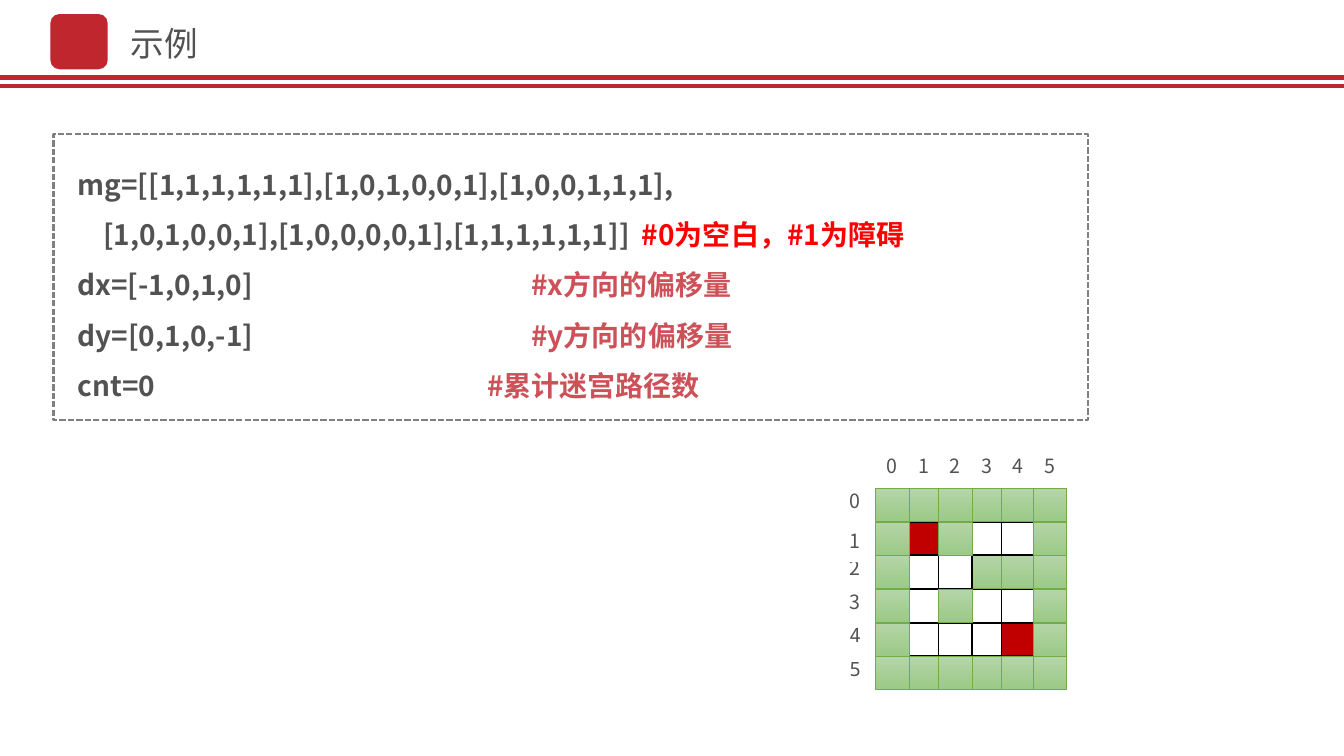
from lxml import etree
from pptx import Presentation
from pptx.dml.color import RGBColor
from pptx.enum.dml import MSO_LINE
from pptx.enum.shapes import MSO_CONNECTOR, MSO_SHAPE as SHAPE
from pptx.enum.text import MSO_ANCHOR as ANCHOR, PP_ALIGN as ALIGN
from pptx.oxml.ns import qn
from pptx.util import Pt

RED = RGBColor(0xC0, 0x26, 0x2E)
GRAY = RGBColor(0x52, 0x52, 0x52)
EDGE = RGBColor(0x80, 0x80, 0x80)
ALERT = RGBColor(0xFF, 0x00, 0x00)
NOTE = RGBColor(0xCD, 0x51, 0x58)
GOAL = RGBColor(0xC0, 0x00, 0x00)
WHITE = RGBColor(0xFF, 0xFF, 0xFF)
BLACK = RGBColor(0x00, 0x00, 0x00)
GREEN = RGBColor(0x70, 0xAD, 0x47)
LIGHT = RGBColor(0xB5, 0xD5, 0xA7)
DEEP = RGBColor(0x9C, 0xC9, 0x87)
SANS, MONO = "Noto Sans CJK SC", "Noto Sans Mono"

prs = Presentation()
prs.slide_width, prs.slide_height = Pt(960), Pt(540)
slide = prs.slides.add_slide(prs.slide_layouts[6])
shapes = slide.shapes


def add_rect(x, y, w, h, fill=None, line=None, width=1, kind=SHAPE.RECTANGLE):
    rect = shapes.add_shape(kind, Pt(x), Pt(y), Pt(w), Pt(h))
    rect.shadow.inherit = False
    if fill is None:
        rect.fill.background()
    else:
        rect.fill.solid()
        rect.fill.fore_color.rgb = fill
    if line is None:
        rect.line.fill.background()
    else:
        rect.line.color.rgb = line
        rect.line.width = Pt(width)
    return rect


def put_text(para, text, size=14, color=GRAY, font=SANS, bold=False):
    run = para.add_run()
    run.text = text
    run.font.size, run.font.bold, run.font.name = Pt(size), bold, font
    run.font.color.rgb = color
    east = etree.SubElement(run.font._element, qn("a:ea"))
    east.set("typeface", font)


# Header: double rule, emblem and title
for y in (55.4, 61.2):
    rule = shapes.add_connector(MSO_CONNECTOR.STRAIGHT, Pt(0), Pt(y), Pt(960), Pt(y))
    rule.line.color.rgb = RED
    rule.line.width = Pt(3)
    etree.SubElement(rule._element.spPr, qn("a:effectLst"))

add_rect(36, 10, 41, 39.5, fill=RED, kind=SHAPE.ROUNDED_RECTANGLE)

title = shapes.add_textbox(Pt(86.4), Pt(13), Pt(62.6), Pt(36)).text_frame
title.word_wrap = False
title.vertical_anchor = ANCHOR.MIDDLE
put_text(title.paragraphs[0], "示例", size=24)

# Code box: each line has code, comment, comment colour and tab stop
LINES = [
    ("mg=[[1,1,1,1,1,1],[1,0,1,0,0,1],[1,0,0,1,1,1],", "", GRAY, 0),
    ("    [1,0,1,0,0,1],[1,0,0,0,0,1],[1,1,1,1,1,1]]", "#0为空白，#1为障碍", ALERT, 403),
    ("dx=[-1,0,1,0]", "#x方向的偏移量", NOTE, 324),
    ("dy=[0,1,0,-1]", "#y方向的偏移量", NOTE, 324),
    ("cnt=0", "#累计迷宫路径数", NOTE, 292.5),
]
box = add_rect(38.2, 95.8, 738.7, 204.5, line=EDGE, width=1.5)
box.line.dash_style = MSO_LINE.SQUARE_DOT
frame = box.text_frame
frame.word_wrap = True
frame.vertical_anchor = ANCHOR.TOP
frame.margin_left, frame.margin_right = Pt(17.3), Pt(7.2)
frame.margin_top = frame.margin_bottom = Pt(11.5)
for i, (code, note, color, stop) in enumerate(LINES):
    para = frame.add_paragraph() if i else frame.paragraphs[0]
    para.alignment = ALIGN.LEFT
    para.line_spacing = 1.5
    put_text(para, code, size=20, bold=True)
    if note:
        tabs = etree.SubElement(para._p.get_or_add_pPr(), qn("a:tabLst"))
        etree.SubElement(tabs, qn("a:tab"), pos=str(Pt(stop)), algn="l")
        put_text(para, "\t" + note, size=20, color=color, bold=True)

# Maze: # wall, . free, * start and goal
MAZE = ["######", "#*#..#", "#..###", "#.#..#", "#...*#", "######"]
LEFT, TOP, STEP, RISE = 625.5, 349, 22.5, 24
WIDE, HIGH = 23.75, 23.5
for row in (4, 3, 2, 1, 0, 5):
    for col in (1, 0, 3, 2, 4, 5):
        mark = MAZE[row][col]
        wall = mark == "#"
        cell = add_rect(LEFT + col * STEP, TOP + row * RISE, WIDE, HIGH,
                        fill=GOAL if mark == "*" else WHITE,
                        line=GREEN if wall else BLACK, width=0.5 if wall else 1)
        if wall:
            cell.fill.gradient()
            cell.fill.gradient_angle = 270
            for stop, tint in zip(cell.fill.gradient_stops, (LIGHT, DEEP)):
                stop.color.rgb = tint

# Column and row numbers; row 1 sits a little lower
spots = [(LEFT + n * STEP, 324, n, SANS) for n in range(6)]
spots += [(599, TOP + n * RISE + (5 if n == 1 else 0), n, MONO if n > 3 else SANS)
          for n in reversed(range(6))]
for x, y, n, font in spots:
    frame = add_rect(x, y, WIDE, HIGH, fill=WHITE).text_frame
    frame.margin_left = frame.margin_right = frame.margin_top = frame.margin_bottom = 0
    frame.vertical_anchor = ANCHOR.TOP
    frame.paragraphs[0].alignment = ALIGN.CENTER
    put_text(frame.paragraphs[0], str(n), font=font)

prs.save("out.pptx")
